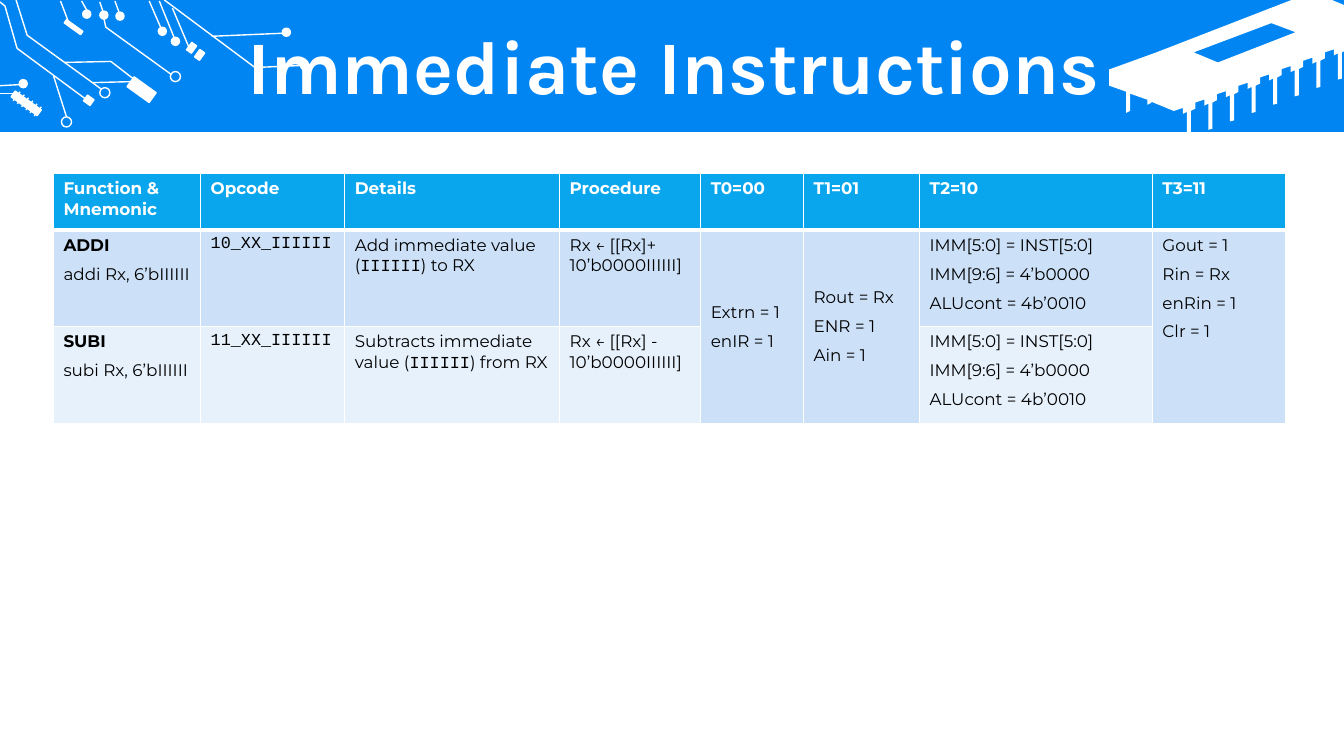
from lxml import etree
from pptx import Presentation
from pptx.dml.color import RGBColor
from pptx.enum.shapes import MSO_CONNECTOR, MSO_SHAPE
from pptx.enum.text import MSO_ANCHOR, PP_ALIGN
from pptx.oxml.ns import qn
from pptx.util import Inches, Pt

COLORS = {
    "banner": "0085F2",
    "header": "0AA6ED",
    "odd_row": "CCE1F8",
    "even_row": "E7F1FC",
    "white": "FFFFFF",
    "black": "000000",
}
TILT = 35.7
PADS = [(2.98, 0.61), (2.8, 0.28), (0.82, 0.1), (0.99, 0.11), (1.15, 0.12),
        (0.19, 0.79), (1.7, 0.37), (1.57, 0.27)]
RINGS = [(1.69, 0.71), (0.99, 0.87), (0.61, 1.16)]
COMPONENTS = [(1.27, 0.83, 0.27, 0.12), (0.63, 0.25, 0.2, 0.04),
              (0.84, 0.96, 0.08, 0.07), (1.87, 0.43, 0.06, 0.09),
              (1.95, 0.5, 0.06, 0.09), (0.1, 0.99, 0.32, 0.07)]
WIRES = [(0.6, 0.01, 0.68, 0.22), (0.81, 0.01, 0.86, 0.1),
         (0.99, 0.02, 1.02, 0.11), (1.14, 0.01, 1.18, 0.12),
         (1.48, 0.01, 1.61, 0.31), (1.58, 0.01, 1.73, 0.38),
         (2.1, 0.36, 2.8, 0.33), (1.71, 0.08, 1.87, 0.46),
         (0, 0.85, 0.19, 0.84), (0, 0.93, 0.14, 0.93),
         (0.53, 0.75, 0.66, 1.16), (0.92, 0.82, 1.3, 0.81)]
BENT_WIRES = [
    [(1.63, 0), (2.53, 0.67), (2.99, 0.65)],
    [(0.16, 0), (0.27, 0.35), (1, 0.88)],
    [(0, 0.02), (0.05, 0.06), (0.17, 0.48), (0.86, 0.99)],
    [(0.64, 0.62), (1.1, 0.61), (1.32, 0.78)],
    [(1.03, 0.18), (1.05, 0.27), (1.7, 0.74)],
]
CHIP_WINDOW = [(12.61, 0.23), (11.84, 0.52), (12.08, 0.62), (12.85, 0.32)]
CHIP_TOP = [(12.81, 0), (13.21, 0), (13.33, 0.05), (13.33, 0.51)]
CHIP_LEFT = [(11.42, 1.01), (11.42, 1.02), (11.38, 1.04), (11.38, 0.99),
             (11.21, 0.93), (11.21, 1.1), (11.17, 1.12), (11.17, 0.91),
             (11, 0.85), (11, 0.69), (11.47, 0.52)]
PIN = [(0, 0), (0, 0.26), (-0.04, 0.27), (-0.04, 0.01),
       (-0.08, 0.03), (-0.08, -0.03), (-0.17, 0), (-0.17, 0.06)]
COLUMN_WIDTHS = [1.46, 1.43, 2.13, 1.4, 1.02, 1.15, 2.31, 1.32]
ROW_HEIGHTS = [0.56, 0.96, 0.96]
IMMEDIATE_STEP = "IMM[5:0] = INST[5:0]\nIMM[9:6] = 4’b0000\nALUcont = 4b’0010"
SHARED_COLUMNS = [4, 5, 7]
CODE_MARK = "`"
ROWS = [
    ["Function & Mnemonic", "Opcode", "Details", "Procedure",
     "T0=00", "T1=01", "T2=10", "T3=11"],
    ["ADDI\naddi Rx, 6’bIIIIII", "`10_XX_IIIIII`",
     "Add immediate value (`IIIIII`) to RX", "Rx ← [[Rx]+ 10’b0000IIIIII]",
     "Extrn = 1\nenIR = 1", "Rout = Rx\nENR = 1\nAin = 1", IMMEDIATE_STEP,
     "Gout = 1\nRin = Rx\nenRin = 1\nClr = 1"],
    ["SUBI\nsubi Rx, 6’bIIIIII", "`11_XX_IIIIII`",
     "Subtracts immediate value (`IIIIII`) from RX",
     "Rx ← [[Rx] - 10’b0000IIIIII]", "", "", IMMEDIATE_STEP, ""],
]


def color(name):
    return RGBColor.from_string(COLORS[name])


def style_shape(shape, fill=None, line=None):
    shape.shadow.inherit = False
    if fill:
        shape.fill.solid()
        shape.fill.fore_color.rgb = color(fill)
    else:
        shape.fill.background()
    if line:
        shape.line.color.rgb = color(line)
        shape.line.width = Pt(1)
    else:
        shape.line.fill.background()


def add_preset(slide, kind, box, fill=None, line=None, rotation=0):
    shape = slide.shapes.add_shape(kind, *map(Inches, box))
    shape.rotation = rotation
    style_shape(shape, fill, line)


def add_outline(slide, contours, closed, fill=None, line=None):
    contours = [[(Inches(x), Inches(y)) for x, y in points] for points in contours]
    builder = slide.shapes.build_freeform(*contours[0][0], scale=1.0)
    for index, points in enumerate(contours):
        if index:
            builder.move_to(*points[0])
        builder.add_line_segments(points[1:], close=closed)
    style_shape(builder.convert_to_shape(), fill, line)


def add_wire(slide, ends):
    wire = slide.shapes.add_connector(MSO_CONNECTOR.STRAIGHT, *map(Inches, ends))
    wire.line.color.rgb = color("white")
    wire.line.width = Pt(1)
    properties = wire._element.find(qn("p:spPr"))
    etree.SubElement(properties, qn("a:effectLst"))


def add_chip(slide):
    pins = [(13.31 - 0.214 * pin + x, 0.52 + 0.083 * pin + y)
            for pin in range(8) for x, y in PIN]
    body = CHIP_TOP + pins[:-1] + CHIP_LEFT
    add_outline(slide, [CHIP_WINDOW, body], True, fill="white")


def add_circuit(slide):
    for box in COMPONENTS:
        add_preset(slide, MSO_SHAPE.RECTANGLE, box, "white", "white", TILT)
    for left, top in PADS:
        add_preset(slide, MSO_SHAPE.OVAL, (left, top, 0.08, 0.08), "white", "white")
    for left, top in RINGS:
        add_preset(slide, MSO_SHAPE.OVAL, (left, top, 0.1, 0.1), line="white")
    for points in BENT_WIRES:
        add_outline(slide, [points], False, line="white")
    coil = [(0.13 + 0.042 * turn, 1 + 0.03 * turn,
             0.2 + 0.042 * turn, 0.91 + 0.03 * turn) for turn in range(6)]
    for ends in WIRES + coil:
        add_wire(slide, ends)


def format_font(font, name, size, color_name, bold):
    font.name = name
    font.size = Pt(size)
    font.bold = bold
    font.color.rgb = color(color_name)


def add_title(slide, text):
    box = slide.shapes.add_textbox(*map(Inches, (0.35, 0.3, 12.66, 0.79)))
    frame = box.text_frame
    frame.word_wrap = True
    frame.vertical_anchor = MSO_ANCHOR.MIDDLE
    frame.text = text
    paragraph = frame.paragraphs[0]
    paragraph.alignment = PP_ALIGN.CENTER
    paragraph.line_spacing = 0.9
    format_font(paragraph.runs[0].font, "Karla", 54, "white", True)


def add_borders(cell, bottom_width):
    properties = cell._tc.get_or_add_tcPr()
    for side, width in (("L", 1), ("R", 1), ("T", 1), ("B", bottom_width)):
        border = etree.SubElement(properties, qn(f"a:ln{side}"), w=str(Pt(width)))
        fill = etree.SubElement(border, qn("a:solidFill"))
        etree.SubElement(fill, qn("a:srgbClr"), val=COLORS["white"])


def fill_cell(cell, text, row, column):
    is_header = row == 0
    add_borders(cell, 3 if is_header else 1)
    cell.fill.solid()
    cell.fill.fore_color.rgb = color(("header", "odd_row", "even_row")[row])
    frame = cell.text_frame
    frame.text = text.replace(CODE_MARK, "")
    for index, (paragraph, line) in enumerate(zip(frame.paragraphs, text.split("\n"))):
        paragraph.space_before = Pt(6 if index else 0)
        bold = is_header or (column == 0 and index == 0)
        text_color = "white" if is_header else "black"
        if CODE_MARK in line:
            paragraph.clear()
            for part, words in enumerate(line.split(CODE_MARK)):
                if words:
                    run = paragraph.add_run()
                    run.text = words
                    font_name = "Courier New" if part % 2 else "Montserrat"
                    format_font(run.font, font_name, 12, text_color, bold)
        else:
            format_font(paragraph.font, "Montserrat", 12, text_color, bold)
            for run in paragraph.runs:
                format_font(run.font, "Montserrat", 12, text_color, bold)


def add_instruction_table(slide):
    table = slide.shapes.add_table(
        len(ROWS), len(COLUMN_WIDTHS), *map(Inches, (0.53, 1.72, 12.22, 2.48))).table
    table.horz_banding = False
    for column, width in zip(table.columns, COLUMN_WIDTHS):
        column.width = Inches(width)
    for row, height in zip(table.rows, ROW_HEIGHTS):
        row.height = Inches(height)
    for row, texts in enumerate(ROWS):
        for column, text in enumerate(texts):
            fill_cell(table.cell(row, column), text, row, column)
    for column in SHARED_COLUMNS:
        table.cell(1, column).merge(table.cell(2, column))
    for column in SHARED_COLUMNS[:2]:
        table.cell(1, column).vertical_anchor = MSO_ANCHOR.MIDDLE


def main():
    presentation = Presentation()
    presentation.slide_width = Inches(13.33)
    presentation.slide_height = Inches(7.5)
    slide = presentation.slides.add_slide(presentation.slide_layouts[6])
    add_preset(slide, MSO_SHAPE.RECTANGLE, (0, 0, 13.33, 1.31), "banner")
    add_chip(slide)
    add_circuit(slide)
    add_title(slide, "Immediate Instructions")
    add_instruction_table(slide)
    presentation.save("out.pptx")


if __name__ == "__main__":
    main()
